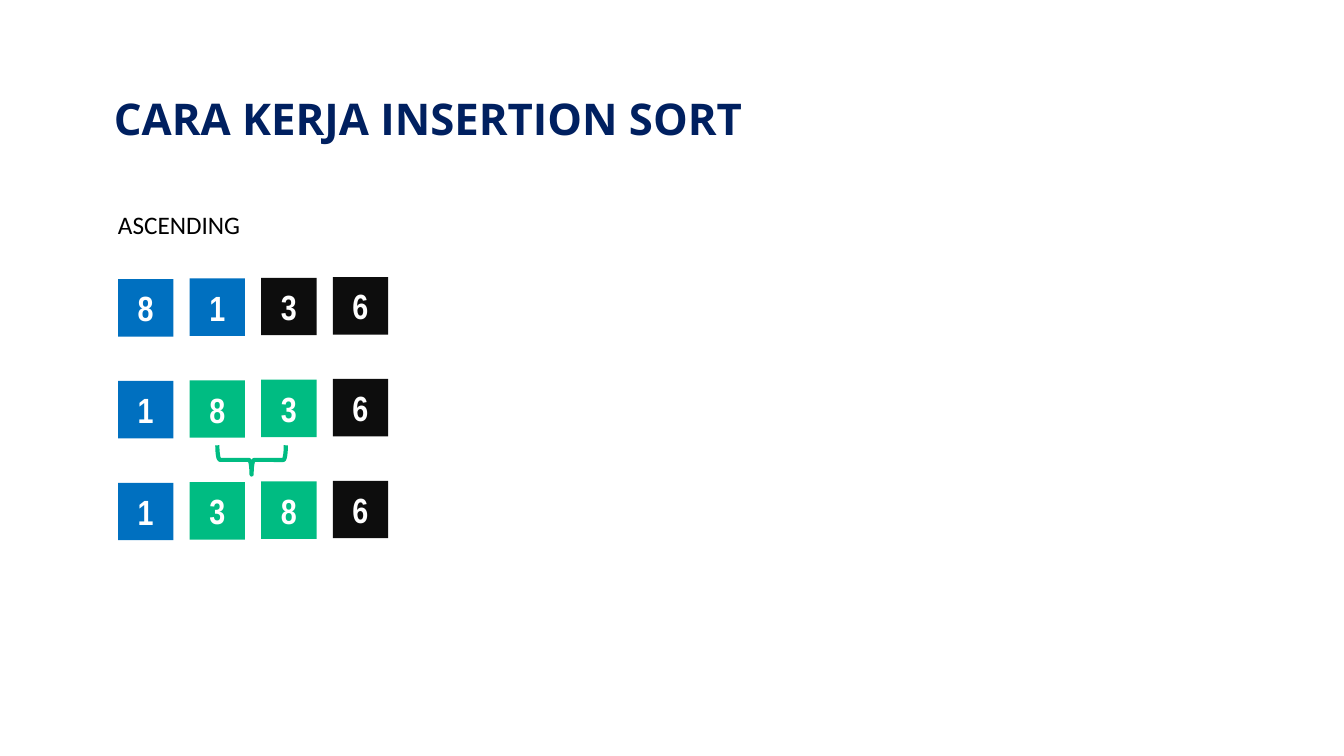
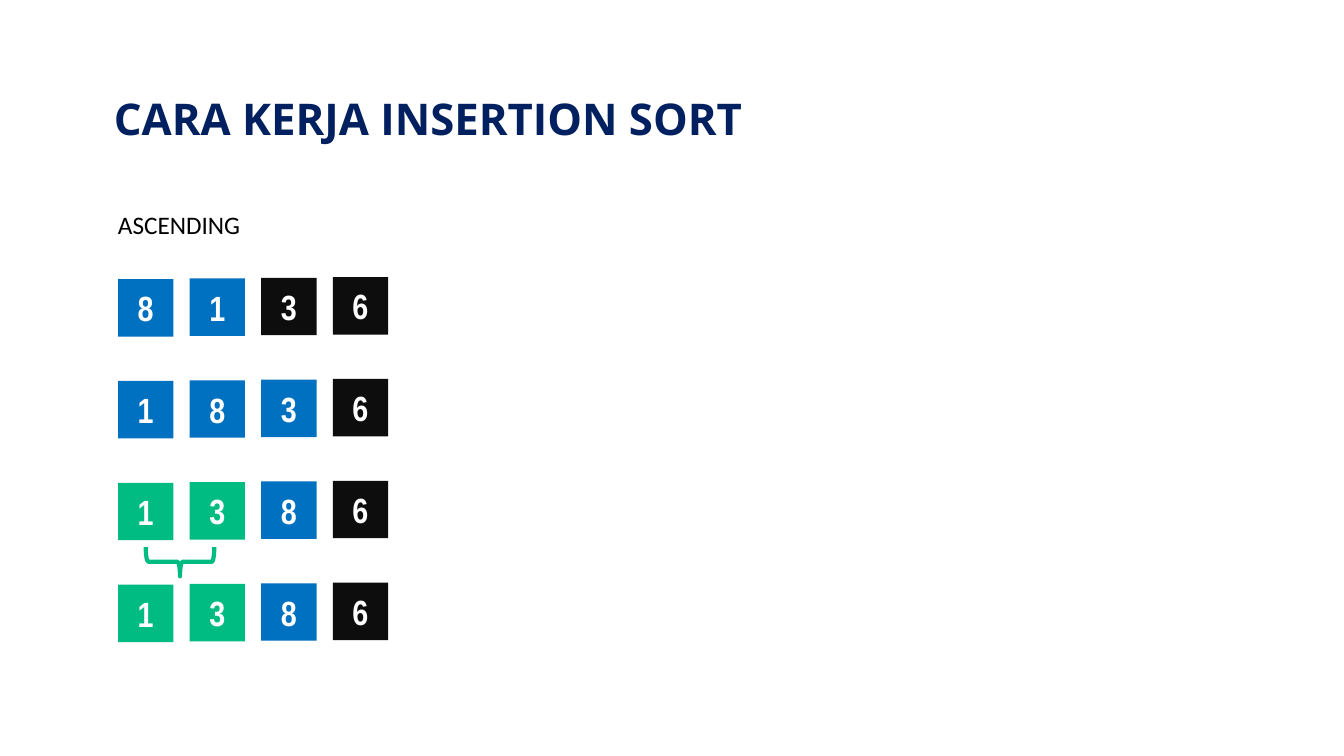
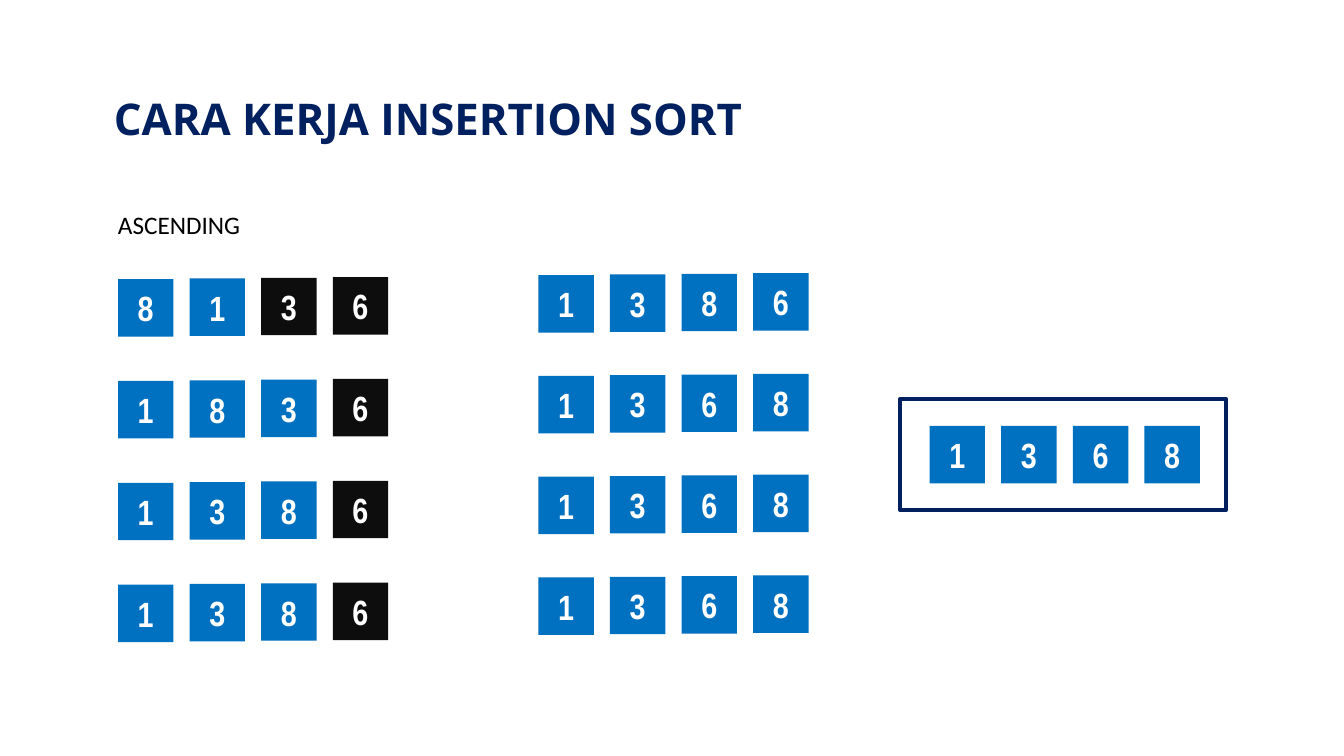
from pptx import Presentation
from pptx.dml.color import RGBColor
from pptx.enum.shapes import MSO_SHAPE as Shape
from pptx.enum.text import MSO_ANCHOR as Anchor, PP_ALIGN as Align
from pptx.util import Inches, Pt

SLIDE_W, SLIDE_H = 13.33, 7.5
NAVY, BLUE, GREEN, BLACK, WHITE = "002060", "0070C0", "00BC82", "0D0D0D", "FFFFFF"
TONES = {"B": BLUE, "G": GREEN, "K": BLACK}

TILE_SHARE, TILE_H = 0.205, 7.6
ROW_W, ROW_RISE = 20.1, 0.27
LEFT_BLOCK, LEFT_PITCH = (8.78, 36.93), 13.47
MIDDLE_BLOCK, MIDDLE_PITCH = (40.06, 36.4), 13.33
RESULT_BOX = (66.99, 52.8, 24.23, 14.67)


def color(hex_code):
    """Turn a hex string into a colour."""
    return RGBColor.from_string(hex_code)


def place(left, top, width, height):
    """Turn percentages of the slide into lengths."""
    return (Inches(left * SLIDE_W / 100), Inches(top * SLIDE_H / 100),
            Inches(width * SLIDE_W / 100), Inches(height * SLIDE_H / 100))


def style(paragraph, font_name, size, tone, bold=False):
    """Set the font of a paragraph."""
    font = paragraph.font
    font.name, font.size, font.bold = font_name, Pt(size), bold
    font.color.rgb = color(tone)


def add_label(slide, box, text, insets, anchor):
    """Add a wrapped line of text and return its paragraph."""
    frame = slide.shapes.add_textbox(*place(*box)).text_frame
    frame.word_wrap = True
    frame.vertical_anchor = anchor
    frame.margin_left = frame.margin_right = Inches(insets[0])
    frame.margin_top = frame.margin_bottom = Inches(insets[1])
    frame.text = text
    return frame.paragraphs[0]


def add_outline(slide, preset, box, tone):
    """Add an unfilled shape with a thick line."""
    outline = slide.shapes.add_shape(preset, *place(*box))
    outline.shadow.inherit = False
    outline.fill.background()
    outline.line.color.rgb = color(tone)
    outline.line.width = Pt(3)
    return outline


def add_tile(slide, box, digit, tone):
    """Add one coloured number tile."""
    tile = slide.shapes.add_shape(Shape.RECTANGLE, *place(*box))
    tile.shadow.inherit = False
    tile.fill.solid()
    tile.fill.fore_color.rgb = color(tone)
    tile.line.fill.background()
    tile.text_frame.vertical_anchor = Anchor.MIDDLE
    tile.text_frame.text = digit
    paragraph = tile.text_frame.paragraphs[0]
    paragraph.alignment = Align.CENTER
    style(paragraph, "Arial Narrow", 25, WHITE, True)


def add_number_row(slide, left, top, width, digits, tones, rise=0):
    """Spread number tiles evenly over a width, rising to the right."""
    tile_w = width * TILE_SHARE
    gaps = len(digits) - 1
    for index, (digit, tone) in enumerate(zip(digits, tones)):
        share = index / gaps
        box = (left + share * (width - tile_w), top - share * rise, tile_w, TILE_H)
        add_tile(slide, box, digit, TONES[tone])


def add_steps(slide, corner, pitch, steps):
    """Stack the rows of a sorting pass below a corner."""
    left, top = corner
    for index, (digits, tones) in enumerate(steps):
        add_number_row(slide, left, top + index * pitch, ROW_W, digits, tones, ROW_RISE)


def add_swap_brace(slide, corner, pitch, row, column):
    """Bracket two neighbouring tiles from below."""
    span, depth = 0.68, 0.29
    tile_w = ROW_W * TILE_SHARE
    column_pitch = (ROW_W - tile_w) / 3
    start = (corner[0] + column * column_pitch + tile_w / 2) * SLIDE_W / 100
    below = (corner[1] + row * pitch + TILE_H + 0.9) * SLIDE_H / 100
    left, top = start + (span - depth) / 2, below + (depth - span) / 2
    box = (left / SLIDE_W * 100, top / SLIDE_H * 100,
           depth / SLIDE_W * 100, span / SLIDE_H * 100)
    add_outline(slide, Shape.RIGHT_BRACE, box, GREEN).rotation = 90


def add_result(slide, box, digits):
    """Frame the sorted numbers."""
    left, top, width, height = box
    add_outline(slide, Shape.RECTANGLE, box, NAVY)
    add_number_row(slide, left + 0.09 * width, top + (height - TILE_H) / 2,
                   0.83 * width, digits, "BBBB")


def add_sort_slide(deck, steps, swap=None):
    """Add a slide with its headings, sorting steps and optional swap brace."""
    slide = deck.slides.add_slide(deck.slide_layouts[6])
    title = add_label(slide, (7.5, 11.2, 85, 8.93), "CARA KERJA INSERTION SORT",
                      (0.13, 0.07), Anchor.MIDDLE)
    style(title, "Open Sans", 31.2, NAVY, True)
    order = add_label(slide, (8.78, 26.27, 61.74, 6.13), "ASCENDING",
                      (0, 0.05), Anchor.TOP)
    order.line_spacing = 1.2
    style(order, "Calibri", 18, "000000")
    add_steps(slide, LEFT_BLOCK, LEFT_PITCH, steps)
    if swap:
        add_swap_brace(slide, LEFT_BLOCK, LEFT_PITCH, *swap)
    return slide


def main():
    """Build the three slides and save them."""
    deck = Presentation()
    deck.slide_width, deck.slide_height = Inches(SLIDE_W), Inches(SLIDE_H)
    start = ("8136", "BBKK")
    second = ("1836", "BBBK")
    third = ("1386", "BBBK")
    compared = ("1386", "GGBK")

    add_sort_slide(deck, [start, ("1836", "BGGK"), ("1386", "BGGK")], swap=(1, 1))
    add_sort_slide(deck, [start, second, compared, compared], swap=(2, 0))
    final = add_sort_slide(deck, [start, second, third, third])
    add_steps(final, MIDDLE_BLOCK, MIDDLE_PITCH,
              [(digits, "BBBB") for digits in ("1386", "1368", "1368", "1368")])
    add_result(final, RESULT_BOX, "1368")
    deck.save("out.pptx")


if __name__ == "__main__":
    main()
